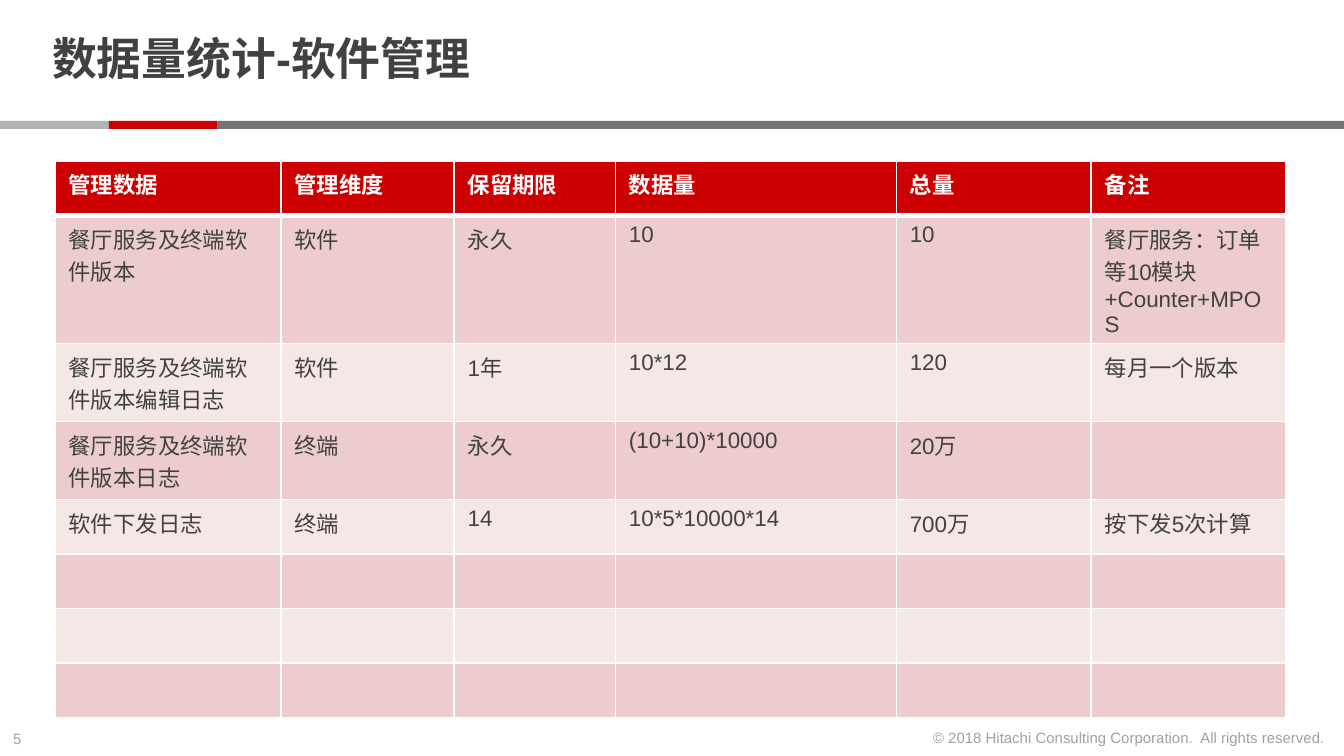
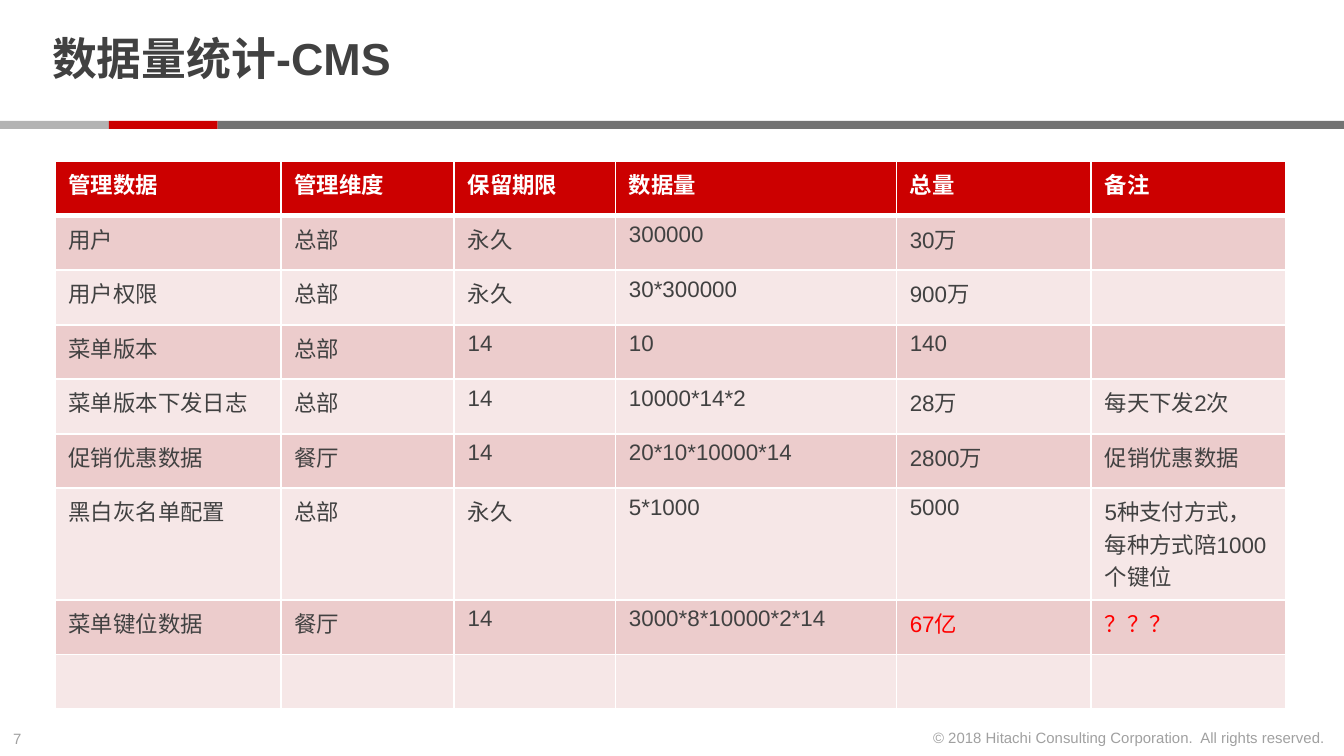
from lxml import etree
from pptx import Presentation, util as u
from pptx.dml.color import RGBColor
from pptx.enum import shapes, text
from pptx.oxml.ns import qn

COLORS = {
    "ink": "414141", "faint": "A0A0A0", "white": "FFFFFF", "red": "CC0000",
    "alert": "FF0000", "silver": "B3B3B3", "gray": "737373",
    "band_dark": "ECCCCC", "band_light": "F6E7E7",
}
FONT = "Arial"
WIDTH = 10
HEIGHT = WIDTH * 9 / 16
COPYRIGHT = "© 2018 Hitachi Consulting Corporation.\u00a0 All rights reserved."

BAND_TOP, BAND_HEIGHT, BAND_UNIT = 0.9, 0.06, 0.81
BANDS = [("silver", 0, BAND_UNIT), ("red", BAND_UNIT, BAND_UNIT),
         ("gray", 2 * BAND_UNIT, WIDTH - 2 * BAND_UNIT)]

TABLE_LEFT, TABLE_TOP = 0.41, 1.2
COLUMN_WIDTHS = [1.68, 1.29, 1.2, 2.09, 1.45, 1.45]
ROW_HEIGHT = 3.65 / 9
HEADER = ["管理数据", "管理维度", "保留期限", "数据量", "总量", "备注"]
EMPTY = [""] * len(HEADER)
ALERTS = {"67亿", "？？？"}

# "tall" maps the rows with wrapped text to their heights.
SLIDES = [
    {"number": "5", "title": "数据量统计-软件管理", "tall": {1: 0.95, 2: 0.58, 3: 0.58}, "rows": [
        ["餐厅服务及终端软件版本", "软件", "永久", "10", "10",
         "餐厅服务：订单等10模块+Counter+MPOS"],
        ["餐厅服务及终端软件版本编辑日志", "软件", "1年", "10*12", "120", "每月一个版本"],
        ["餐厅服务及终端软件版本日志", "终端", "永久", "(10+10)*10000", "20万", ""],
        ["软件下发日志", "终端", "14", "10*5*10000*14", "700万", "按下发5次计算"],
        EMPTY, EMPTY, EMPTY,
    ]},
    {"number": "7", "title": "数据量统计-CMS", "tall": {6: 0.83}, "rows": [
        ["用户", "总部", "永久", "300000", "30万", ""],
        ["用户权限", "总部", "永久", "30*300000", "900万", ""],
        ["菜单版本", "总部", "14", "10", "140", ""],
        ["菜单版本下发日志", "总部", "14", "10000*14*2", "28万", "每天下发2次"],
        ["促销优惠数据", "餐厅", "14", "20*10*10000*14", "2800万", "促销优惠数据"],
        ["黑白灰名单配置", "总部", "永久", "5*1000", "5000",
         "5种支付方式，每种方式陪1000个键位"],
        ["菜单键位数据", "餐厅", "14", "3000*8*10000*2*14", "67亿", "？？？"],
        EMPTY,
    ]},
]


def rgb(name):
    return RGBColor.from_string(COLORS[name])


def inches(*lengths):
    return [u.Inches(length) for length in lengths]


def write(para, words, size, color, bold=False):
    span = para.add_run()
    span.text = words
    formats = {"name": FONT, "size": u.Pt(size), "bold": bold}
    for name, value in formats.items():
        setattr(span.font, name, value)
    span.font.color.rgb = rgb(color)


def add_text(page, place, words, size, color, bold=False, para_format=None, **frame_format):
    frame = page.shapes.add_textbox(*inches(*place)).text_frame
    for name, value in frame_format.items():
        setattr(frame, name, value)
    para = frame.paragraphs[0]
    for name, value in (para_format or {}).items():
        setattr(para, name, value)
    write(para, words, size, color, bold)


def add_frame(page, number, title):
    """Draw the title, colour bands and footer that every slide carries."""
    for color, left, width in BANDS:
        band = page.shapes.add_shape(shapes.MSO_SHAPE.RECTANGLE,
                                     *inches(left, BAND_TOP, width, BAND_HEIGHT))
        band.shadow.inherit = False
        band.fill.solid()
        band.fill.fore_color.rgb = rgb(color)
        band.line.fill.background()

    footer = {"word_wrap": False, "auto_size": text.MSO_AUTO_SIZE.SHAPE_TO_FIT_TEXT}
    add_text(page, (0, 5.38, 0.34, 0.24), number, 8, "faint", **footer)
    add_text(page, (6.8, 5.37, 3.16, 0.24), COPYRIGHT, 8, "faint",
             para_format={"alignment": text.PP_ALIGN.RIGHT}, **footer)
    add_text(page, (0.29, 0.06, 7.71, 0.8), title, 24, "ink", bold=True,
             para_format={"line_spacing": 0.85}, word_wrap=True,
             vertical_anchor=text.MSO_ANCHOR.MIDDLE, margin_top=0, margin_bottom=0)


def add_borders(cell, top, bottom):
    """Give a cell white borders; top and bottom are widths in points."""
    properties = cell._tc.get_or_add_tcPr()
    widths = {"lnL": 1, "lnR": 1, "lnT": top, "lnB": bottom}
    for place, (side, width) in enumerate(widths.items()):
        line = etree.Element(qn(f"a:{side}"), w=str(u.Pt(width)))
        fill = etree.SubElement(line, qn("a:solidFill"))
        etree.SubElement(fill, qn("a:srgbClr"), val=COLORS["white"])
        properties.insert(place, line)


def add_data_table(page, body, tall):
    rows = [HEADER] + body
    heights = [tall.get(r, ROW_HEIGHT) for r in range(len(rows))]
    table = page.shapes.add_table(
        len(rows), len(HEADER),
        *inches(TABLE_LEFT, TABLE_TOP, sum(COLUMN_WIDTHS), sum(heights))).table
    table.horz_banding = False
    for column, width in zip(table.columns, COLUMN_WIDTHS):
        column.width = u.Inches(width)
    for r, values in enumerate(rows):
        table.rows[r].height = u.Inches(heights[r])
        is_header = r == 0
        fill = "red" if is_header else ("band_light", "band_dark")[r % 2]
        for c, words in enumerate(values):
            cell = table.cell(r, c)
            cell.fill.solid()
            cell.fill.fore_color.rgb = rgb(fill)
            add_borders(cell, top=3 if r == 1 else 1, bottom=3 if is_header else 1)
            if words:
                color = "white" if is_header else "alert" if words in ALERTS else "ink"
                write(cell.text_frame.paragraphs[0], words, 12, color, is_header)


def main():
    deck = Presentation()
    deck.slide_width, deck.slide_height = inches(WIDTH, HEIGHT)
    for content in SLIDES:
        page = deck.slides.add_slide(deck.slide_layouts[6])
        add_frame(page, content["number"], content["title"])
        add_data_table(page, content["rows"], content["tall"])
    deck.save("out.pptx")


if __name__ == "__main__":
    main()
